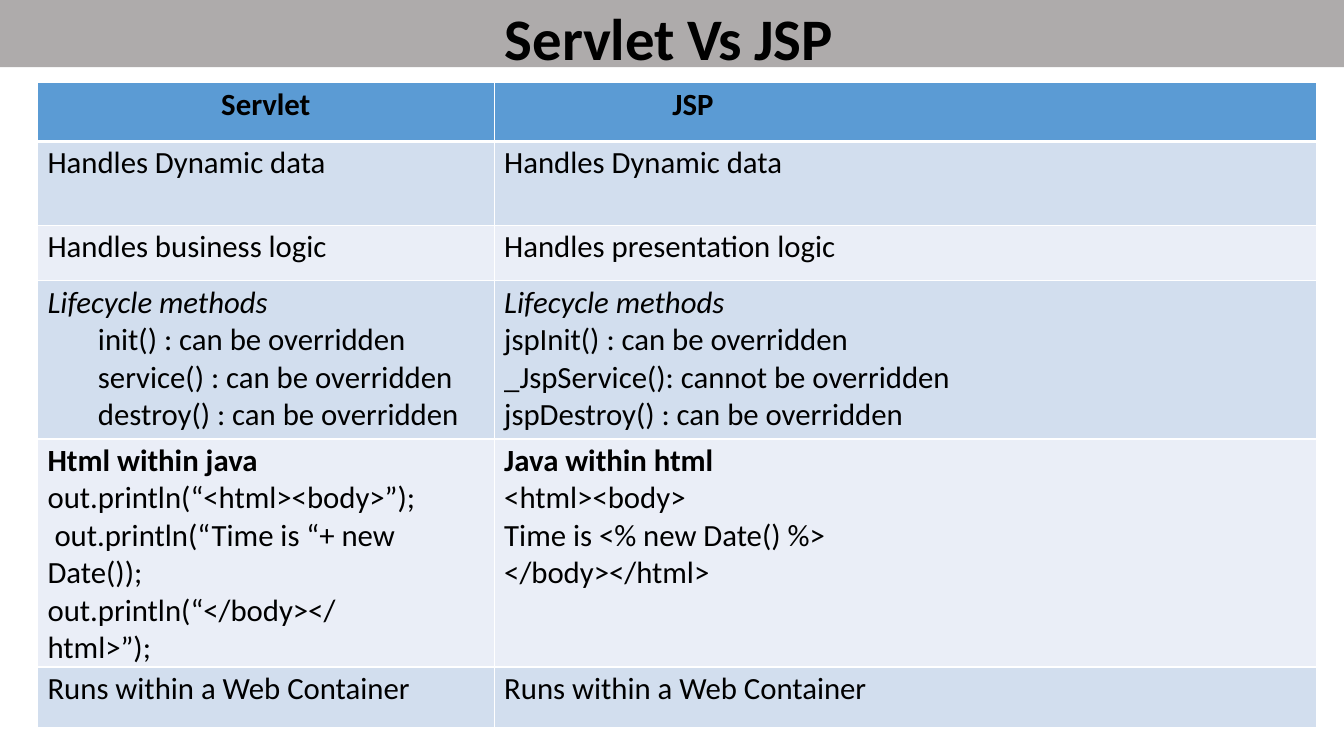
"""Build the Servlet Vs JSP comparison slide."""
import pptx
import pptx.dml.color
import pptx.enum.shapes
import pptx.enum.text
import pptx.oxml
import pptx.oxml.ns
import pptx.util

Pt = pptx.util.Pt
RGBColor = pptx.dml.color.RGBColor
ALIGN = pptx.enum.text.PP_ALIGN

BLACK = RGBColor(0x00, 0x00, 0x00)
BAND_GREY = RGBColor(0xAE, 0xAB, 0xAB)
HEADER_BLUE = RGBColor(0x5B, 0x9B, 0xD4)
ROW_BLUES = RGBColor(0xD2, 0xDE, 0xEE), RGBColor(0xEA, 0xEE, 0xF7)
FONT = "Calibri"

TITLE_RUNS = [("Servlet ", -10), ("Vs ", -100), ("JSP", -10)]
HEADERS = ["Servlet", "JSP"]
ROWS = [
    (["Handles Dynamic data"], ["Handles Dynamic data"]),
    (["Handles business logic"], ["Handles presentation logic"]),
    (["Lifecycle methods", "init() : can be overridden",
      "service() : can be overridden", "destroy() : can be overridden"],
     ["Lifecycle methods", "jspInit() : can be overridden",
      "_JspService(): cannot be overridden", "jspDestroy() : can be overridden"]),
    (["Html within java", "out.println(“<html><body>”);",
      " out.println(“Time is “+ new Date());", "out.println(“</body></html>”);"],
     ["Java within html", "<html><body>", "Time is <% new Date() %>",
      "</body></html>"]),
    (["Runs within a Web Container"], ["Runs within a Web Container"]),
]
ITALIC_LEADS = {"Lifecycle methods"}
BOLD_LEADS = {"Servlet", "JSP", "Html within java", "Java within html"}
COLUMN_WIDTHS = [326.2, 587.5]
ROW_HEIGHTS = [42, 60, 39.5, 113, 139, 43.2]
CELL_INSET, JSP_HEADER_INSET, CODE_RIGHT_INSET = 7.2, 127.4, 50
METHOD_INDENT = 36


def add_borders(cell, bottom_width, top_width):
    """Give a cell white borders."""
    properties = cell._tc.get_or_add_tcPr()
    for side, width in zip("LRTB", (1, 1, top_width, bottom_width)):
        properties.append(pptx.oxml.parse_xml(
            f'<a:ln{side} {pptx.oxml.ns.nsdecls("a")} w="{Pt(width)}"><a:solidFill>'
            f'<a:srgbClr val="FFFFFF"/></a:solidFill></a:ln{side}>'))


def fill_cell(cell, lines, row, column):
    """Write and format one cell of the comparison."""
    add_borders(cell, 3 if row == 0 else 1, 3 if row == 1 else 1)
    cell.fill.solid()
    cell.fill.fore_color.rgb = ROW_BLUES[(row - 1) % 2] if row else HEADER_BLUE
    cell.margin_top, cell.margin_bottom = Pt(2.2), 0
    cell.margin_left, cell.margin_right = Pt(CELL_INSET), 0
    if row == 0:
        cell.margin_left = Pt(JSP_HEADER_INSET) if column else 0
    elif lines[0] == "Html within java":
        cell.margin_right = Pt(CODE_RIGHT_INSET)
    cell.text_frame.text = "\n".join(lines)
    for number, paragraph in enumerate(cell.text_frame.paragraphs):
        if number and column == 0 and lines[0] in ITALIC_LEADS:
            paragraph._p.get_or_add_pPr().set("marL", str(Pt(METHOD_INDENT)))
        centred = row == 0 and column == 0
        paragraph.alignment = ALIGN.CENTER if centred else ALIGN.LEFT
        font = paragraph.font
        font.name, font.size = FONT, Pt(22)
        font.color.rgb = BLACK
        font.bold = paragraph.text in BOLD_LEADS
        font.italic = paragraph.text in ITALIC_LEADS


def add_comparison(slide):
    """Add the comparison table."""
    table = slide.shapes.add_table(
        len(ROW_HEIGHTS), len(COLUMN_WIDTHS), Pt(26.8), Pt(59.2),
        Pt(sum(COLUMN_WIDTHS)), Pt(sum(ROW_HEIGHTS))).table
    for column, width in zip(table.columns, COLUMN_WIDTHS):
        column.width = Pt(width)
    for row, height in zip(table.rows, ROW_HEIGHTS):
        row.height = Pt(height)
    content = [[[header] for header in HEADERS], *ROWS]
    for row, sides in enumerate(content):
        for column, lines in enumerate(sides):
            fill_cell(table.cell(row, column), lines, row, column)


def add_heading(slide):
    """Add the grey band and place the title on it."""
    band = slide.shapes.add_shape(
        pptx.enum.shapes.MSO_SHAPE.RECTANGLE, 0, 0, Pt(960), Pt(48))
    band.shadow.inherit = False
    band.fill.solid()
    band.fill.fore_color.rgb = BAND_GREY
    band.line.fill.background()

    title = slide.shapes.title
    slide.shapes.element.append(title.element)
    title.left, title.top, title.width, title.height = (
        Pt(360.7), Pt(0), Pt(239), Pt(52.6))
    frame = title.text_frame
    frame.auto_size = pptx.enum.text.MSO_AUTO_SIZE.SHAPE_TO_FIT_TEXT
    frame.vertical_anchor = pptx.enum.text.MSO_ANCHOR.TOP
    frame.margin_left = frame.margin_right = frame.margin_bottom = 0
    frame.margin_top = Pt(1)
    paragraph = frame.paragraphs[0]
    paragraph.alignment = ALIGN.LEFT
    for text, spacing in TITLE_RUNS:
        run = paragraph.add_run()
        run.text = text
        run._r.get_or_add_rPr().set("spc", str(spacing))
    paragraph.font.name, paragraph.font.size = FONT, Pt(42)
    paragraph.font.bold = True
    paragraph.font.color.rgb = BLACK


def main():
    """Build and save the slide."""
    deck = pptx.Presentation()
    deck.slide_width, deck.slide_height = Pt(960), Pt(540)
    slide = deck.slides.add_slide(deck.slide_layouts[5])
    add_comparison(slide)
    add_heading(slide)
    deck.save("out.pptx")


if __name__ == "__main__":
    main()
